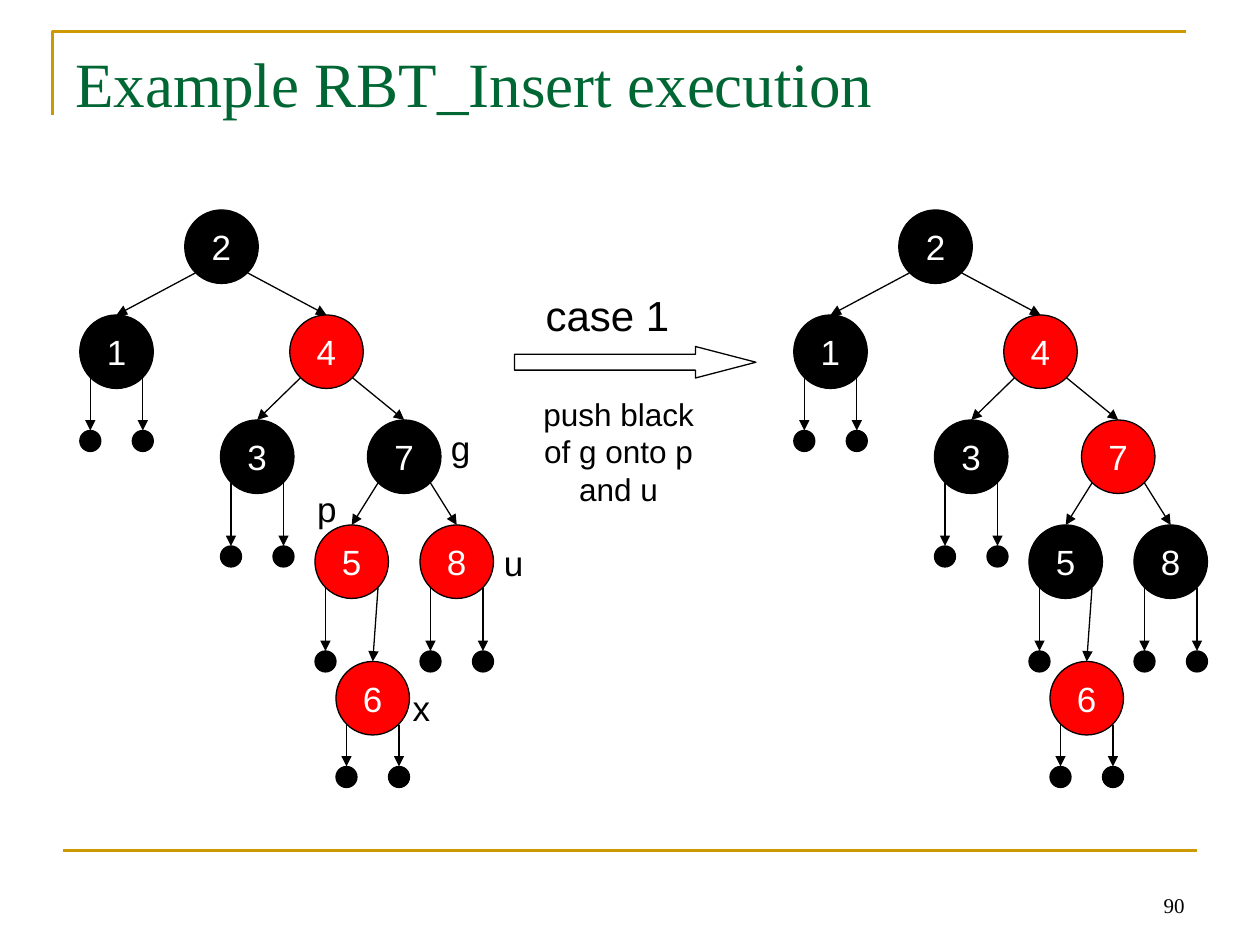
from dataclasses import dataclass

from lxml import etree
from pptx import Presentation
from pptx.dml.color import RGBColor
from pptx.enum.shapes import MSO_CONNECTOR, MSO_SHAPE
from pptx.enum.text import MSO_ANCHOR as ANCHOR, PP_ALIGN as ALIGN
from pptx.oxml.ns import qn
from pptx.util import Pt


@dataclass(frozen=True)
class Theme:
    gold: str = "CC9900"
    green: str = "006633"
    black: str = "000000"
    red: str = "FF0101"
    white: str = "FFFFFF"
    serif: str = "Times New Roman"
    sans: str = "Arial"
    title: float = 36
    case: float = 24
    label: float = 20
    note: float = 18
    number: float = 12
    rule: float = 1.5
    line: float = 0.75


T = Theme()

# Tree geometry: node and leaf diameters, and where edges leave a node
NODE, LEAF = 42, 12
SIDE, EXIT = 15, 36
TREE_SHIFT = 408

# Key: (left, top) of each node in the left tree
NODES = {
    2: (105.6, 120), 1: (45.6, 180), 4: (165.6, 180), 3: (126, 240),
    7: (210, 240), 5: (180, 300), 8: (240, 300), 6: (192, 378),
}
# Parent: (left child, right child); None is a leaf
CHILDREN = {2: (1, 4), 4: (3, 7), 7: (5, 8), 5: (None, 6)}
# Key: drop from the top of a node to its leaves
LEAF_DROP = {1: 66, 3: 72, 5: 72, 8: 72, 6: 60}


def rgb(color):
    return RGBColor.from_string(color)


def style(sp, fill=None, line=T.black, width=T.line):
    sp.shadow.inherit = False
    if fill:
        sp.fill.solid()
        sp.fill.fore_color.rgb = rgb(fill)
    else:
        sp.fill.background()
    sp.line.color.rgb = rgb(line)
    sp.line.width = Pt(width)


def write(tf, lines, size, color=T.black, font=T.sans, align=ALIGN.CENTER):
    for i, line in enumerate(lines):
        p = tf.paragraphs[0] if i == 0 else tf.add_paragraph()
        p.alignment = align
        r = p.add_run()
        r.text = line
        r.font.size = Pt(size)
        r.font.name = font
        r.font.color.rgb = rgb(color)


def add_text(slide, box, lines, size, wrap=False, anchor=ANCHOR.TOP, **look):
    tf = slide.shapes.add_textbox(*map(Pt, box)).text_frame
    tf.word_wrap = wrap
    tf.vertical_anchor = anchor
    write(tf, lines, size, **look)


def add_line(slide, start, end, color=T.black, width=T.line, arrow=True):
    cx = slide.shapes.add_connector(
        MSO_CONNECTOR.STRAIGHT, *map(Pt, (*start, *end)))
    cx.line.color.rgb = rgb(color)
    cx.line.width = Pt(width)
    if arrow:
        etree.SubElement(cx.line._get_or_add_ln(), qn("a:tailEnd"),
                         type="triangle")
    etree.SubElement(cx._element.spPr, qn("a:effectLst"))


def add_circle(slide, left, top, size, fill, key=None):
    sp = slide.shapes.add_shape(
        MSO_SHAPE.OVAL, *map(Pt, (left, top, size, size)))
    style(sp, fill)
    if key is not None:
        tf = sp.text_frame
        tf.word_wrap = False
        tf.vertical_anchor = ANCHOR.MIDDLE
        tf.margin_left = tf.margin_right = tf.margin_top = tf.margin_bottom = 0
        write(tf, [str(key)], T.label, T.white)


def add_tree(slide, shift, red_keys):
    for key, (left, top) in NODES.items():
        left += shift
        add_circle(slide, left, top, NODE,
                   T.red if key in red_keys else T.black, key)
        children = CHILDREN.get(key, (None, None))
        for sign, child in zip((-1, 1), children):
            x = left + NODE / 2 + sign * SIDE
            if child is None:
                end = (x, top + LEAF_DROP[key])
                add_circle(slide, x - LEAF / 2, end[1], LEAF, T.black)
            else:
                child_left, child_top = NODES[child]
                end = (child_left + shift + NODE / 2, child_top)
            add_line(slide, (x, top + EXIT), end)


def add_frame(slide):
    # Corner rule, bottom rule, title and page number
    corner = slide.shapes.build_freeform(Pt(30), Pt(66))
    corner.add_line_segments(
        [(Pt(30), Pt(18)), (Pt(678), Pt(18))], close=False)
    style(corner.convert_to_shape(), line=T.gold, width=T.rule)
    add_line(slide, (36, 486), (684, 486), T.gold, T.rule, arrow=False)
    add_text(slide, (36, 21.6, 648, 90), ["Example RBT_Insert execution"],
             T.title, wrap=True, color=T.green, font=T.serif, align=ALIGN.LEFT)
    add_text(slide, (516, 492, 168, 36), ["90"], T.number, wrap=True,
             anchor=ANCHOR.BOTTOM, font=T.serif, align=ALIGN.RIGHT)


def add_step(slide):
    # Block arrow with the case above and its explanation below
    arrow = slide.shapes.add_shape(
        MSO_SHAPE.RIGHT_ARROW, *map(Pt, (294, 198, 138, 18)))
    arrow.adjustments[0] = 0.5
    arrow.adjustments[1] = 1.92
    style(arrow)
    add_text(slide, (304.6, 162, 85, 36), ["case 1"], T.case)
    add_text(slide, (303, 222, 101, 72),
             ["push black", "of g onto p", "and u"], T.note)


def add_labels(slide):
    # Names of the nodes taking part in the fix-up
    for name, left, top in (("x", 228, 389), ("u", 280.8, 306),
                            ("g", 250.4, 240), ("p", 174, 275)):
        add_text(slide, (left, top, 25.5, 31), [name], T.label)


def main():
    prs = Presentation()
    prs.slide_width, prs.slide_height = Pt(720), Pt(540)
    slide = prs.slides.add_slide(prs.slide_layouts[6])
    add_frame(slide)
    add_tree(slide, 0, {4, 5, 6, 8})
    add_step(slide)
    add_tree(slide, TREE_SHIFT, {4, 6, 7})
    add_labels(slide)
    prs.save("out.pptx")


if __name__ == "__main__":
    main()
